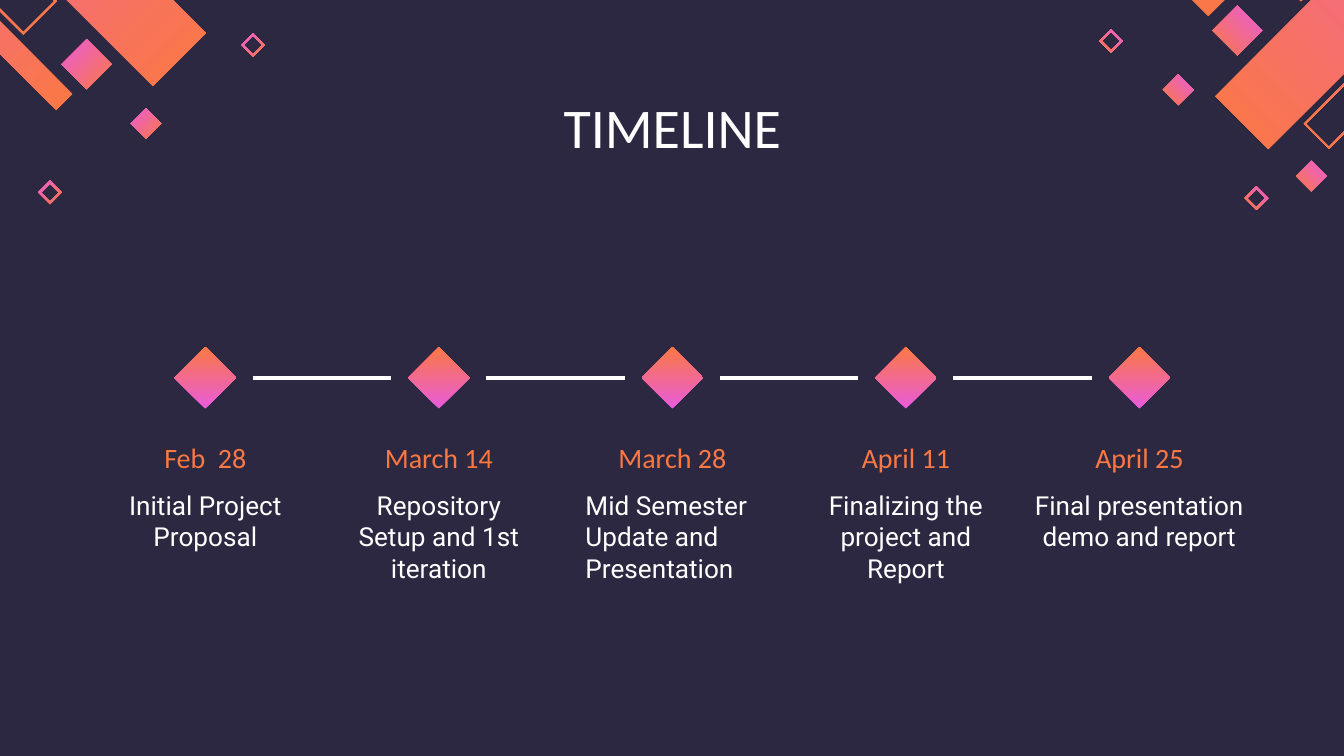
import dataclasses

import lxml.etree
import pptx
import pptx.dml.color
import pptx.enum.shapes
import pptx.enum.text
import pptx.oxml.ns
import pptx.util

Pt = pptx.util.Pt
Align = pptx.enum.text.PP_ALIGN


@dataclasses.dataclass(frozen=True)
class Theme:
    ground: str = "2D2842"
    light: str = "FFFFFF"
    warm: str = "FB7843"
    pink: str = "E85CDB"
    head: str = "Calibri"
    body: str = "Roboto"
    title_size: float = 30
    date_size: float = 15
    note_size: float = 14
    line_width: float = 2.25
    inset: float = 7.2


def tint(code):
    return pptx.dml.color.RGBColor.from_string(code)


class Painter:
    """Draws styled elements on one slide, with lengths in points."""

    def __init__(self, slide, theme):
        self.slide = slide
        self.theme = theme
        fill = slide.background.fill
        fill.solid()
        fill.fore_color.rgb = tint(theme.ground)

    def blend(self, shape, first, last, angle):
        """Fill with a gradient; the angle runs counter-clockwise."""
        shape.shadow.inherit = False
        shape.line.fill.background()
        shape.fill.gradient()
        shape.fill.gradient_angle = angle
        for stop, code in zip(shape.fill.gradient_stops, (first, last)):
            stop.color.rgb = tint(code)

    def bar(self, side, x, y, long, short, rim=0):
        """Tilted bar standing on its tip (x, y); side 1 leans right, -1 left.

        A rim above zero leaves only a frame of that depth.
        """
        pen = None
        for inset in ((0, rim) if rim else (0,)):
            tip, run, wide = y - inset, long - inset, short - inset
            loop = [
                (x, tip),
                (x + side * run, tip - run),
                (x + side * (run - wide), tip - run - wide),
                (x - side * wide, tip - wide),
            ]
            start, *rest = [(Pt(a), Pt(b)) for a, b in loop]
            if pen is None:
                pen = self.slide.shapes.build_freeform(*start)
            else:
                pen.move_to(*start)
            pen.add_line_segments(rest, close=True)
        angle = 45 if side > 0 else 135
        self.blend(pen.convert_to_shape(), self.theme.warm, self.theme.pink, angle)

    def gem(self, mid_x, mid_y, size):
        kind = pptx.enum.shapes.MSO_SHAPE.DIAMOND
        box = (mid_x - size / 2, mid_y - size / 2, size, size)
        shape = self.slide.shapes.add_shape(kind, *map(Pt, box))
        self.blend(shape, self.theme.pink, self.theme.warm, 90)

    def link(self, left, right, y):
        kind = pptx.enum.shapes.MSO_CONNECTOR.STRAIGHT
        line = self.slide.shapes.add_connector(kind, Pt(left), Pt(y), Pt(right), Pt(y))
        line.line.color.rgb = tint(self.theme.light)
        line.line.width = Pt(self.theme.line_width)
        lxml.etree.SubElement(line._element.spPr, pptx.oxml.ns.qn("a:effectLst"))

    def label(self, shape, text, font, size, code, align=Align.CENTER, space=None):
        frame = shape.text_frame
        frame.word_wrap = True
        frame.auto_size = pptx.enum.text.MSO_AUTO_SIZE.NONE
        frame.vertical_anchor = pptx.enum.text.MSO_ANCHOR.TOP
        frame.margin_left = frame.margin_right = Pt(self.theme.inset)
        frame.margin_top = frame.margin_bottom = Pt(self.theme.inset)
        para = frame.paragraphs[0]
        para.alignment = align
        para.line_spacing = space
        run = para.add_run()
        run.text = text
        run.font.name = font
        run.font.size = Pt(size)
        run.font.color.rgb = tint(code)

    def title(self, text, left, top, width, height):
        shape = self.slide.shapes.title
        shape.left, shape.top = Pt(left), Pt(top)
        shape.width, shape.height = Pt(width), Pt(height)
        self.label(shape, text, self.theme.head, self.theme.title_size, self.theme.light)

    def box(self, mid_x, top, width, height):
        return self.slide.shapes.add_textbox(
            Pt(mid_x - width / 2), Pt(top), Pt(width), Pt(height)
        )

    def date(self, text, mid_x, top, width, height):
        look = self.theme
        shape = self.box(mid_x, top, width, height)
        self.label(shape, text, look.head, look.date_size, look.warm, space=1.15)

    def note(self, text, mid_x, top, width, height, align):
        look = self.theme
        shape = self.box(mid_x, top, width, height)
        self.label(shape, text, look.body, look.note_size, look.light, align)


# Corner pieces: side, tip x, tip y, long edge, short edge, rim
RIM = 1.4
CORNERS = [
    (1, 679.5, 79.9, 188.3, 28.4),
    (1, 697, 0.7, 140.4, 18, RIM),
    (1, 647.3, 8.6, 169.2, 8.6),
    (1, 712, 79.9, 160.5, 13.6, RIM),
    (1, 702.5, 102.6, 8.2, 8.2),
    (1, 673.1, 112.4, 6.3, 6.3, RIM),
    (1, 595.2, 28.2, 6.3, 6.3, RIM),
    (1, 662.9, 29.8, 13.4, 13.4),
    (1, 631.2, 56.3, 8.2, 8.2),
    (-1, 81.9, 46.1, 188.3, 28.4),
    (-1, 12.5, 18.6, 140.4, 18, RIM),
    (-1, 30.2, 59, 169.2, 8.6),
    (-1, 135.6, 30.4, 6.3, 6.3, RIM),
    (-1, 46.4, 47.8, 13.4, 13.4),
    (-1, 78.2, 74.3, 8.2, 8.2),
    (-1, 26.8, 109.4, 6.3, 6.3, RIM),
]

# Stops: date, note, note width, note alignment
STOPS = [
    ("Feb  28", "Initial Project Proposal", 107.3, Align.CENTER),
    ("March 14", "Repository Setup and 1st iteration", 107.3, Align.CENTER),
    ("March 28", "Mid Semester Update and Presentation", 107.3, Align.LEFT),
    ("April 11", "Finalizing the project and Report", 107.3, Align.CENTER),
    ("April 25", "Final presentation demo and report", 132.5, Align.CENTER),
]
FIRST, PITCH, AXIS, GAP = 110, 125.1, 202.4, 25.4


def main():
    deck = pptx.Presentation()
    deck.slide_width, deck.slide_height = Pt(720), Pt(405)
    slide = deck.slides.add_slide(deck.slide_layouts[5])
    paint = Painter(slide, Theme())

    for piece in CORNERS:
        paint.bar(*piece)
    paint.title("TIMELINE", 47.5, 42.5, 625.5, 45.4)

    for index, (date, note, width, align) in enumerate(STOPS):
        mid = FIRST + index * PITCH
        paint.gem(mid, AXIS, 33)
        if index < len(STOPS) - 1:
            paint.link(mid + GAP, mid + PITCH - GAP, AXIS)
        paint.date(date, mid, 226, 107.3, 31)
        paint.note(note, mid, 254.9, width, 47.5, align)

    deck.save("out.pptx")


if __name__ == "__main__":
    main()
